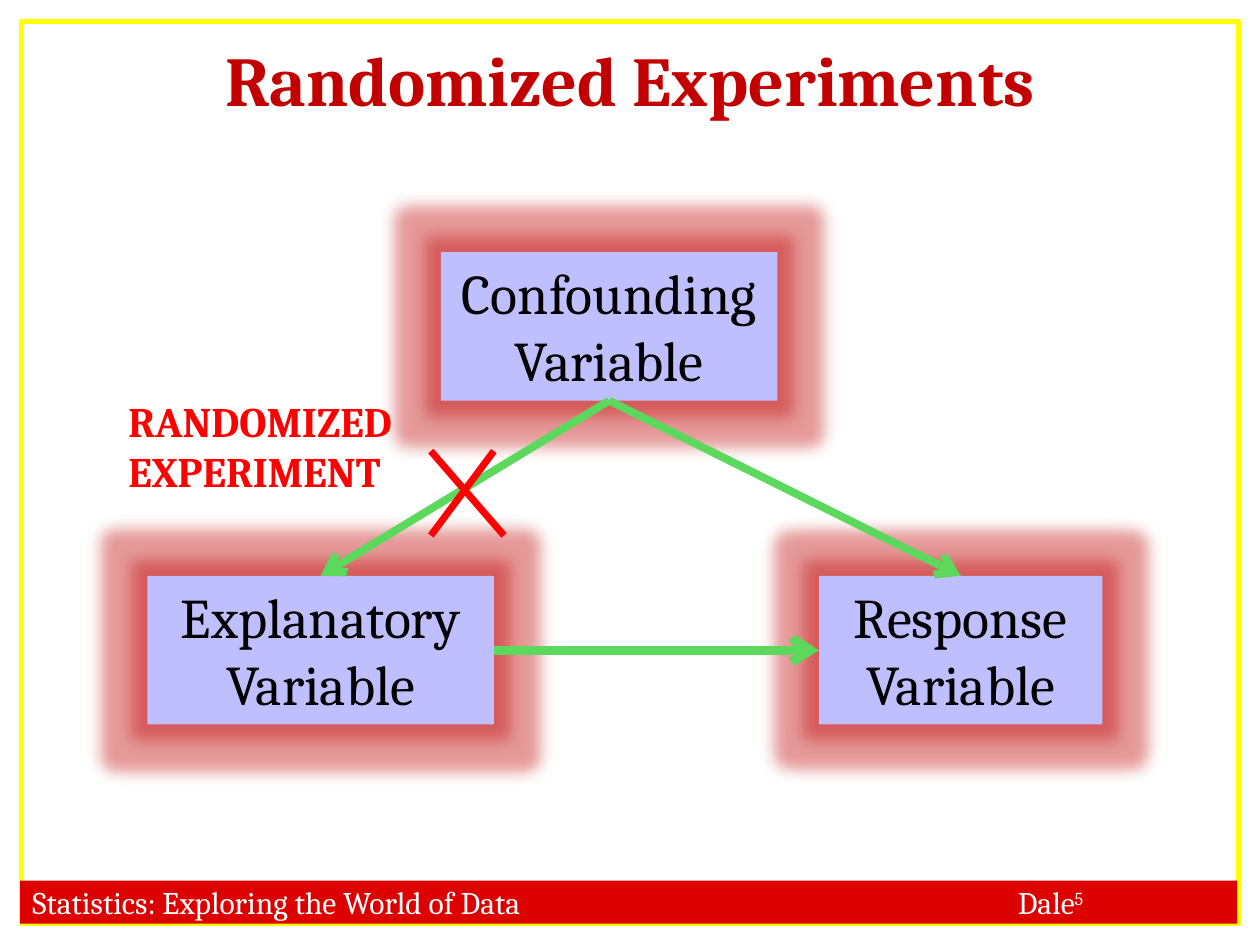
import pptx
import pptx.util
import pptx.oxml
import pptx.oxml.ns
import pptx.dml.color
import pptx.enum.shapes
import pptx.enum.text
from lxml import etree

W, H = 10, 7.5
FONT = "Cambria"
RED, GREEN = "FF0000", "5CD95C"
TOP, LEFT, RIGHT, BOTTOM = 2, 1, 3, 0   # names of sides follow below
SITE = {"top": 0, "left": 1, "bottom": 2, "right": 3}

# Content
TITLE = "Randomized Experiments"
NOTE = "RANDOMIZED EXPERIMENT"
FOOT = [("Statistics: Exploring the World of Data\tDale", 0), ("5", 30000)]
TALL = 1.18
BOXES = {  # name: left, top, width
    "Explanatory": (1.17, 4.57, 2.75),
    "Response": (6.5, 4.57, 2.25),
    "Confounding": (3.5, 2, 2.67),
}
ARROWS = [  # from, side, to, side, points
    ("Confounding", "bottom", "Explanatory", "top", 4.5),
    ("Confounding", "bottom", "Response", "top", 4.5),
    ("Explanatory", "right", "Response", "left", 5),
]
CROSS = [(3.42, 3.58, 4, 4.25), (3.42, 4.25, 3.92, 3.58)]

inch, pt = pptx.util.Inches, pptx.util.Pt
qn = pptx.oxml.ns.qn
ALIGN = pptx.enum.text.PP_ALIGN
MID = pptx.enum.text.MSO_ANCHOR.MIDDLE

deck = pptx.Presentation()
deck.slide_width, deck.slide_height = inch(W), inch(H)
slide = deck.slides.add_slide(deck.slide_layouts[6])
parts = slide.shapes


def tint(hue):
    return pptx.dml.color.RGBColor.from_string(hue)


def rect(x, y, w, h, fill=None, edge=None):
    box = parts.add_shape(pptx.enum.shapes.MSO_SHAPE.RECTANGLE,
                          *map(inch, (x, y, w, h)))
    box.shadow.inherit = False
    if fill:
        box.fill.solid()
        box.fill.fore_color.rgb = tint(fill)
    else:
        box.fill.background()
    if edge:
        box.line.color.rgb = tint(edge)
        box.line.width = pt(3)
    else:
        box.line.fill.background()
    return box


def style(run, size, hue, bold=False):
    run.font.name, run.font.size = FONT, pt(size)
    run.font.bold, run.font.color.rgb = bold, tint(hue)


def write(box, text, size, hue, bold=False, align=ALIGN.CENTER, anchor=None):
    frame = box.text_frame
    frame.text, frame.word_wrap = text, True
    frame.vertical_anchor = anchor or pptx.enum.text.MSO_ANCHOR.TOP
    para = frame.paragraphs[0]
    para.alignment = align
    style(para.runs[0], size, hue, bold)


def label(at, *args, **opts):
    write(parts.add_textbox(*map(inch, at)), *args, **opts)


def glow(box):
    halo = etree.SubElement(box._element.spPr.find(qn("a:effectLst")),
                            qn("a:glow"), rad=str(pt(18)))
    hue = etree.SubElement(halo, qn("a:srgbClr"), val="C00000")
    etree.SubElement(hue, qn("a:alpha"), val="40000")


def line(ends, hue, width, head=False):
    link = parts.add_connector(pptx.enum.shapes.MSO_CONNECTOR.STRAIGHT,
                               *map(inch, ends))
    link.line.color.rgb, link.line.width = tint(hue), pt(width)
    if head:
        etree.SubElement(link.line._get_or_add_ln(), qn("a:tailEnd"),
                         type="arrow")
    etree.SubElement(link._element.spPr, qn("a:effectLst"))
    return link


# Frame and footer bar
rect(0.17, 0.17, 9.66, 7.16, edge="FFFF00")
bar = rect(0.16, 6.99, 9.66, 0.34, fill="DC0000")
bar.text_frame.word_wrap = True
bar.text_frame.vertical_anchor = MID
para = bar.text_frame.paragraphs[0]
para.alignment = ALIGN.LEFT
stops = etree.SubElement(para._p.get_or_add_pPr(), qn("a:tabLst"))
etree.SubElement(stops, qn("a:tab"), pos=str(inch(7.82)), algn="l")
for text, lift in FOOT:
    run = para.add_run()
    run.text = text
    style(run, 18, "FFFFFF")
    if lift:
        run.font._element.set("baseline", str(lift))

# Title
label((0.5, 0, W - 1, 1.25), TITLE, 40, "C20000", bold=True, anchor=MID)

# Variable boxes
nodes = {}
for name, (x, y, w) in BOXES.items():
    nodes[name] = rect(x, y, w, TALL, fill="BFBFFF")
    write(nodes[name], name + " Variable", 32, "000000")
    glow(nodes[name])

# Arrows between boxes
for start, out, end, into, width in ARROWS:
    link = line((0, 0, 1, 1), GREEN, width, head=True)
    link.begin_connect(nodes[start], SITE[out])
    link.end_connect(nodes[end], SITE[into])

# Cross over the broken link, with its note
for ends in CROSS:
    line(ends, RED, 4)
label((0.92, 3.09, 2.42, 0.91), NOTE, 24, RED, bold=True, align=ALIGN.LEFT)

deck.save("out.pptx")
